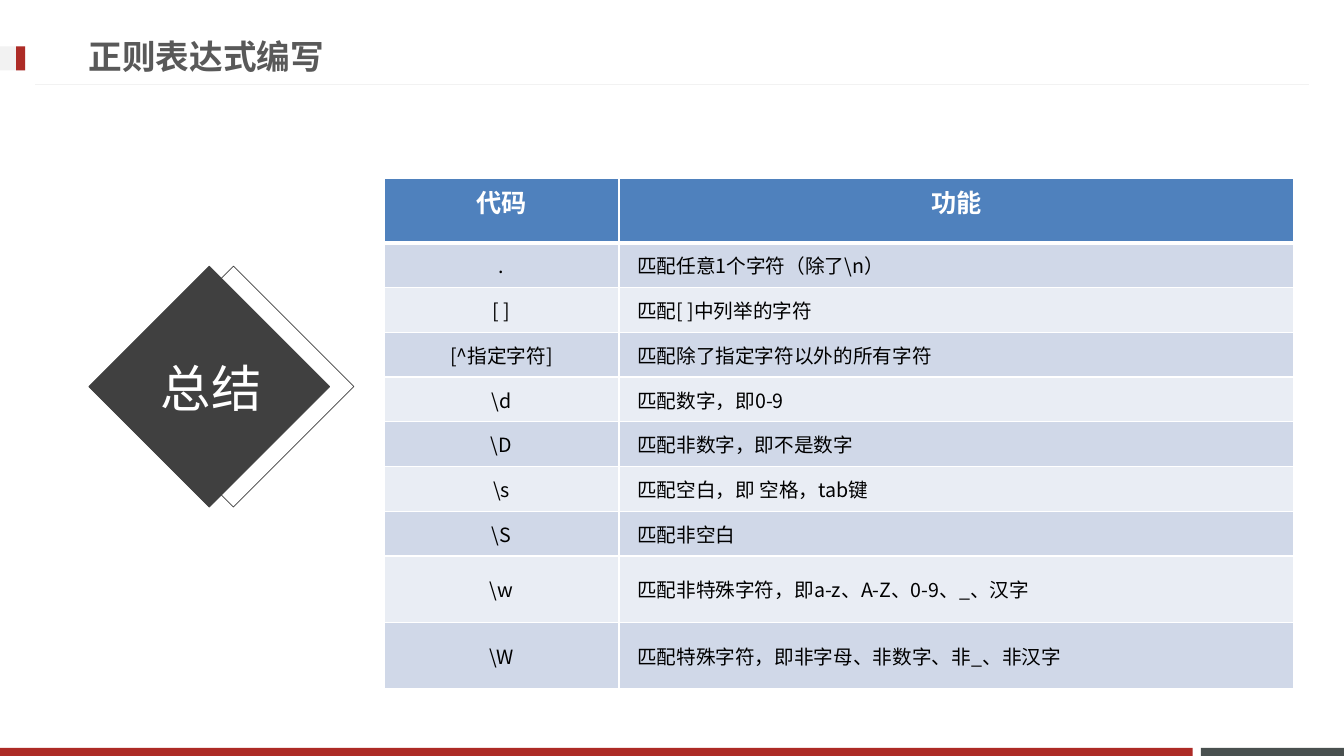
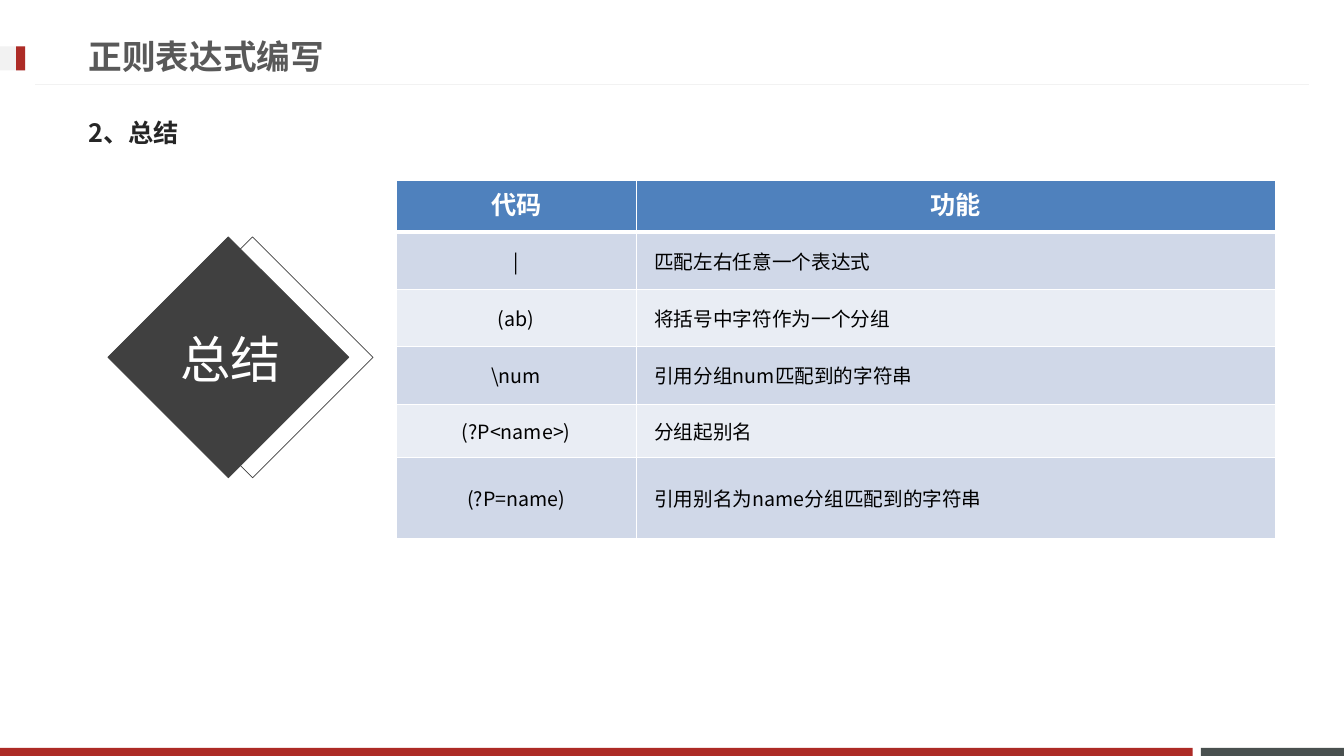
from dataclasses import dataclass

from lxml import etree
from pptx import Presentation
from pptx.dml.color import RGBColor
from pptx.enum.shapes import MSO_CONNECTOR, MSO_SHAPE
from pptx.enum.text import MSO_ANCHOR, MSO_AUTO_SIZE, PP_ALIGN
from pptx.oxml.ns import qn
from pptx.util import Inches, Pt

RECT = MSO_SHAPE.RECTANGLE
STRAIGHT = MSO_CONNECTOR.STRAIGHT
LEFT, CENTER = PP_ALIGN.LEFT, PP_ALIGN.CENTER
TOP, MIDDLE = MSO_ANCHOR.TOP, MSO_ANCHOR.MIDDLE
NO_FIT = MSO_AUTO_SIZE.NONE
TITLE_ONLY = 5


@dataclass(frozen=True)
class Theme:
    red: str = "AD2B26"
    slate: str = "49504F"
    pale: str = "F2F2F2"
    dark: str = "404040"
    title: str = "595959"
    heading: str = "262626"
    white: str = "FFFFFF"
    black: str = "000000"
    header: str = "4F81BD"
    bands: tuple[str, str] = ("D0D8E8", "E9EDF4")
    title_font: str = "Arial"
    header_font: str = "Calibri"
    heading_font: str = "Noto Sans CJK JP"
    body_font: str = "Noto Sans CJK SC"
    title_size: float = 24
    heading_size: float = 18
    cell_size: float = 14
    badge_size: float = 36


@dataclass(frozen=True)
class Bar:
    x: float
    y: float
    w: float
    h: float
    color: str


@dataclass(frozen=True)
class Summary:
    badge: tuple[float, float]
    origin: tuple[float, float]
    cols: tuple[float, float]
    heights: list[float]
    rows: list[tuple[str, str]]
    heading: str = ""


T = Theme()
TITLE = "正则表达式编写"
HEADER = ("代码", "功能")
BARS = [
    Bar(11.91, 7.42, 1.42, 0.08, T.slate),
    Bar(0, 7.42, 11.83, 0.08, T.red),
    Bar(0, 0.46, 0.25, 0.24, T.pale),
    Bar(0.16, 0.46, 0.09, 0.24, T.red),
]
SUMMARIES = [
    Summary(
        badge=(1.23, 2.99),
        origin=(3.81, 1.77),
        cols=(2.33, 6.69),
        heights=[0.64] + [0.44] * 7 + [0.66] * 2,
        rows=[
            (".", "匹配任意1个字符（除了\\n）"),
            ("[ ]", "匹配[ ]中列举的字符"),
            ("[^指定字符]", "匹配除了指定字符以外的所有字符"),
            ("\\d", "匹配数字，即0-9"),
            ("\\D", "匹配非数字，即不是数字"),
            ("\\s", "匹配空白，即 空格，tab键"),
            ("\\S", "匹配非空白"),
            ("\\w", "匹配非特殊字符，即a-z、A-Z、0-9、_、汉字"),
            ("\\W", "匹配特殊字符，即非字母、非数字、非_、非汉字"),
        ],
    ),
    Summary(
        badge=(1.42, 2.7),
        origin=(3.93, 1.79),
        cols=(2.38, 6.34),
        heights=[0.51] + [0.57] * 3 + [0.53, 0.8],
        rows=[
            ("|", "匹配左右任意一个表达式"),
            ("(ab)", "将括号中字符作为一个分组"),
            ("\\num", "引用分组num匹配到的字符串"),
            ("(?P<name>)", "分组起别名"),
            ("(?P=name)", "引用别名为name分组匹配到的字符串"),
        ],
        heading="2、总结",
    ),
]


def rgb(color: str) -> RGBColor:
    return RGBColor.from_string(color)


def write(tf, text: str, *, size: float, color: str, font: str = T.body_font,
          bold: bool = False, align=LEFT, spacing: float | None = None) -> None:
    p = tf.paragraphs[0]
    p.alignment = align
    if spacing:
        p.line_spacing = spacing
    r = p.add_run()
    r.text = text
    r.font.size, r.font.bold, r.font.name = Pt(size), bold, font
    r.font.color.rgb = rgb(color)
    east_asian = font if "CJK" in font else T.body_font
    etree.SubElement(r.font._element, qn("a:ea"), typeface=east_asian)


def add_rect(s, x: float, y: float, w: float, h: float, *, fill: str | None = None,
             line: str | None = None, rotation: float = 0) -> None:
    sp = s.shapes.add_shape(RECT, Inches(x), Inches(y), Inches(w), Inches(h))
    sp.shadow.inherit = False
    sp.rotation = rotation
    if fill:
        sp.fill.solid()
        sp.fill.fore_color.rgb = rgb(fill)
    else:
        sp.fill.background()
    if line:
        sp.line.color.rgb = rgb(line)
        sp.line.width = Pt(0.5)
    else:
        sp.line.fill.background()


def add_text(s, text: str, x: float, y: float, w: float, h: float, **style) -> None:
    tf = s.shapes.add_textbox(Inches(x), Inches(y), Inches(w), Inches(h)).text_frame
    tf.word_wrap = True
    tf.auto_size = NO_FIT
    tf.vertical_anchor = MIDDLE
    write(tf, text, **style)


def add_frame(s) -> None:
    for bar in BARS:
        add_rect(s, bar.x, bar.y, bar.w, bar.h, fill=bar.color)
    rule = s.shapes.add_connector(
        STRAIGHT, Inches(0.35), Inches(0.84), Inches(12.98), Inches(0.84))
    rule.line.color.rgb = rgb(T.pale)
    rule.line.width = Pt(0.75)
    etree.SubElement(rule._element.spPr, qn("a:effectLst"))

    title = s.shapes.title
    title.left, title.top = Inches(0.78), Inches(0.27)
    title.width, title.height = Inches(9.59), Inches(0.57)
    tf = title.text_frame
    tf.auto_size = NO_FIT
    tf.vertical_anchor = MIDDLE
    write(tf, TITLE, size=T.title_size, color=T.title, font=T.title_font, bold=True)


def add_badge(s, x: float, y: float) -> None:
    side = 1.69
    add_rect(s, x + 0.24, y, side, side, line=T.dark, rotation=45)
    add_rect(s, x, y, side, side, fill=T.dark, line=T.dark, rotation=45)
    add_text(s, "总结", x - 1.23, y + 0.45, 4.19, 0.89, size=T.badge_size,
             color=T.white, align=CENTER, spacing=0.9)


def set_borders(cell, **widths: float) -> None:
    tc_pr = cell._tc.get_or_add_tcPr()
    for side in ("L", "R", "T", "B"):
        ln = etree.SubElement(tc_pr, qn(f"a:ln{side}"), w=str(Pt(widths.get(side, 1))))
        fill = etree.SubElement(ln, qn("a:solidFill"))
        etree.SubElement(fill, qn("a:srgbClr"), val=T.white)


def fill_cell(cell, text: str, row: int, col: int) -> None:
    header = row == 0
    set_borders(cell, T=3 if row == 1 else 1, B=3 if header else 1)
    cell.fill.solid()
    cell.fill.fore_color.rgb = rgb(T.header if header else T.bands[(row - 1) % 2])
    cell.vertical_anchor = TOP if header else MIDDLE
    if header:
        write(cell.text_frame, text, size=T.heading_size, color=T.white,
              font=T.header_font, bold=True, align=CENTER)
    else:
        cell.margin_left = cell.margin_right = Inches(0.18)
        cell.margin_top = cell.margin_bottom = Inches(0.08)
        write(cell.text_frame, text, size=T.cell_size, color=T.black,
              align=LEFT if col else CENTER)


def add_code_table(s, summary: Summary) -> None:
    x, y = summary.origin
    rows = [HEADER, *summary.rows]
    table = s.shapes.add_table(
        len(rows), len(HEADER), Inches(x), Inches(y),
        Inches(sum(summary.cols)), Inches(sum(summary.heights))).table
    table.horz_banding = False
    for column, width in zip(table.columns, summary.cols):
        column.width = Inches(width)
    for i, (texts, height) in enumerate(zip(rows, summary.heights)):
        table.rows[i].height = Inches(height)
        for j, text in enumerate(texts):
            fill_cell(table.cell(i, j), text, i, j)


def add_summary_slide(prs, summary: Summary) -> None:
    s = prs.slides.add_slide(prs.slide_layouts[TITLE_ONLY])
    add_frame(s)
    if summary.heading:
        add_text(s, summary.heading, 0.78, 1.03, 11.76, 0.57, size=T.heading_size,
                 color=T.heading, font=T.heading_font, bold=True)
    add_badge(s, *summary.badge)
    add_code_table(s, summary)


def main() -> None:
    prs = Presentation()
    prs.slide_width, prs.slide_height = Inches(13.33), Inches(7.5)
    for summary in SUMMARIES:
        add_summary_slide(prs, summary)
    prs.save("out.pptx")


if __name__ == "__main__":
    main()
